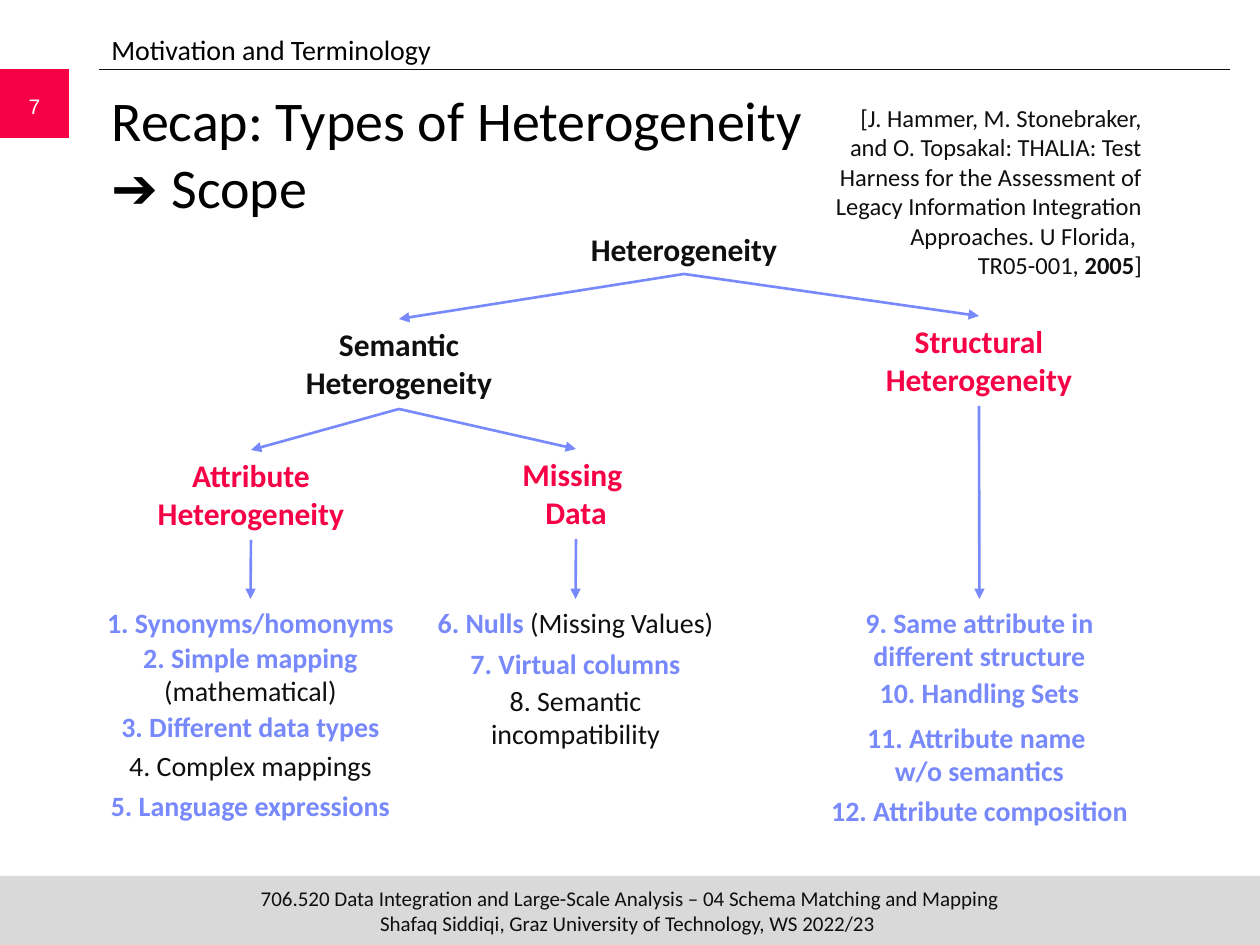
from lxml.etree import SubElement
from pptx import Presentation
from pptx.dml.color import RGBColor
from pptx.enum.shapes import MSO_CONNECTOR as Connector, MSO_SHAPE as Shape
from pptx.enum.text import MSO_ANCHOR as Anchor, MSO_AUTO_SIZE as AutoSize, PP_ALIGN as Align
from pptx.oxml.ns import qn
from pptx.util import Emu, Pt

PX_PER_INCH = 126
BLACK = RGBColor(0x00, 0x00, 0x00)
INK = RGBColor(0x0F, 0x0F, 0x0F)
WHITE = RGBColor(0xFF, 0xFF, 0xFF)
GRAY = RGBColor(0xD9, 0xD9, 0xD9)
RED = RGBColor(0xF7, 0x01, 0x46)
BLUE = RGBColor(0x78, 0x89, 0xFB)

NODE_WIDTH = 286
ITEM_WIDTH = 325
NODES = {
    "root": (541, 224, 50, "Heterogeneity", INK),
    "structural": (836, 316, 90, "Structural Heterogeneity", RED),
    "semantic": (256, 319, 90, "Semantic Heterogeneity", INK),
    "attribute": (108, 450, 90, "Attribute Heterogeneity", RED),
    "missing": (433, 449, 90, "Missing \nData", RED),
}
BRANCHES = [("root", "semantic"), ("root", "structural"),
            ("semantic", "missing"), ("semantic", "attribute")]
ITEMS = {
    "attribute": (88, [
        (599, 46, [("1. Synonyms/homonyms", BLUE, True)]),
        (634, 80, [("2. Simple mapping ", BLUE, True), ("(mathematical)", INK, False)]),
        (703, 46, [("3. Different data types", BLUE, True)]),
        (742, 46, [("4. Complex mappings", INK, False)]),
        (782, 46, [("5. Language expressions", BLUE, True)]),
    ]),
    "missing": (413, [
        (599, 46, [("6. Nulls ", BLUE, True), ("(Missing Values)", INK, False)]),
        (640, 46, [("7. Virtual columns", BLUE, True)]),
        (677, 80, [("8. Semantic incompatibility", INK, False)]),
    ]),
    "structural": (817, [
        (599, 80, [("9. Same attribute in different structure", BLUE, True)]),
        (669, 46, [("10. Handling Sets", BLUE, True)]),
        (714, 80, [("11. Attribute name \nw/o semantics", BLUE, True)]),
        (787, 46, [("12. Attribute composition", BLUE, True)]),
    ]),
}


def px(*lengths):
    return [Emu(round(length * 914400 / PX_PER_INCH)) for length in lengths]


def write(shape, runs, size, align=Align.CENTER, anchor=Anchor.TOP,
          font="Calibri", margins=None):
    frame = shape.text_frame
    frame.word_wrap = True
    frame.auto_size = AutoSize.NONE
    frame.vertical_anchor = anchor
    if margins:
        (frame.margin_left, frame.margin_top,
         frame.margin_right, frame.margin_bottom) = px(*margins)
    paragraph = frame.paragraphs[0]
    paragraph.alignment = align
    for text, color, bold in runs:
        for index, line in enumerate(text.split("\n")):
            if index:
                paragraph.add_line_break()
            run = paragraph.add_run()
            run.text = line
            run.font.name = font
            run.font.size = Pt(size)
            run.font.bold = bold
            run.font.color.rgb = color


def add_text(slide, box, runs, size, **style):
    shape = slide.shapes.add_textbox(*px(*box))
    write(shape, runs, size, **style)
    return shape


def add_box(slide, box, fill):
    shape = slide.shapes.add_shape(Shape.RECTANGLE, *px(*box))
    shape.shadow.inherit = False
    shape.fill.solid()
    shape.fill.fore_color.rgb = fill
    shape.line.fill.background()
    return shape


def add_line(slide, ends, color, width):
    line = slide.shapes.add_connector(Connector.STRAIGHT, *px(*ends))
    line.line.color.rgb = color
    line.line.width = Pt(width)
    SubElement(line._element.spPr, qn("a:effectLst"))
    return line


def add_arrow(slide, parent, child):
    arrow = add_line(slide, (0, 0, 0, 0), BLUE, 1.5)
    arrow.begin_connect(parent, 2)
    arrow.end_connect(child, 0)
    SubElement(arrow.line._get_or_add_ln(), qn("a:tailEnd"), type="triangle")


def add_frame(slide):
    footer = add_box(slide, (0, 876, 1260, 69), GRAY)
    write(footer, [("706.520 Data Integration and Large-Scale Analysis – "
                    "04 Schema Matching and Mapping\n"
                    "Shafaq Siddiqi, Graz University of Technology, WS 2022/23 ",
                    INK, False)],
          12, anchor=Anchor.MIDDLE, margins=(0, 0, 0, 0))
    add_line(slide, (99, 69, 1230, 69), INK, 0.5)
    add_box(slide, (0, 69, 69, 69), RED)
    add_text(slide, (0, 81, 69, 50), [("7", WHITE, False)], 12,
             anchor=Anchor.MIDDLE, font="Arial")
    add_text(slide, (99, 26, 1134, 46), [("Motivation and Terminology", BLACK, False)],
             16, align=Align.LEFT)


def add_title(slide):
    title = slide.shapes.title
    title.left, title.top, title.width, title.height = px(99, 79, 1129, 105)
    write(title, [("Recap: Types of Heterogeneity\n➔ Scope", BLACK, False)],
          32, align=Align.LEFT)


def add_tree(slide):
    nodes = {}
    for name, (left, top, height, text, color) in NODES.items():
        nodes[name] = add_box(slide, (left, top, NODE_WIDTH, height), WHITE)
        write(nodes[name], [(text, color, True)], 18)
    for parent, child in BRANCHES:
        add_arrow(slide, nodes[parent], nodes[child])
    for name, (left, items) in ITEMS.items():
        boxes = [add_text(slide, (left, top, ITEM_WIDTH, height), runs, 16)
                 for top, height, runs in items]
        add_arrow(slide, nodes[name], boxes[0])


def add_citation(slide):
    runs = [("[J. Hammer, M. Stonebraker, and O. Topsakal: THALIA: Test Harness "
             "for the Assessment of Legacy Information Integration Approaches. "
             "U Florida, \nTR05-001, ", INK, False),
            ("2005", INK, True), ("]", INK, False)]
    add_text(slide, (827, 97, 315, 190), runs, 14, align=Align.RIGHT,
             margins=(0, 6, 0, 6))


def main():
    presentation = Presentation()
    presentation.slide_width, presentation.slide_height = px(1260, 945)
    slide = presentation.slides.add_slide(presentation.slide_layouts[5])
    add_frame(slide)
    add_title(slide)
    add_tree(slide)
    add_citation(slide)
    presentation.save("out.pptx")


if __name__ == "__main__":
    main()
